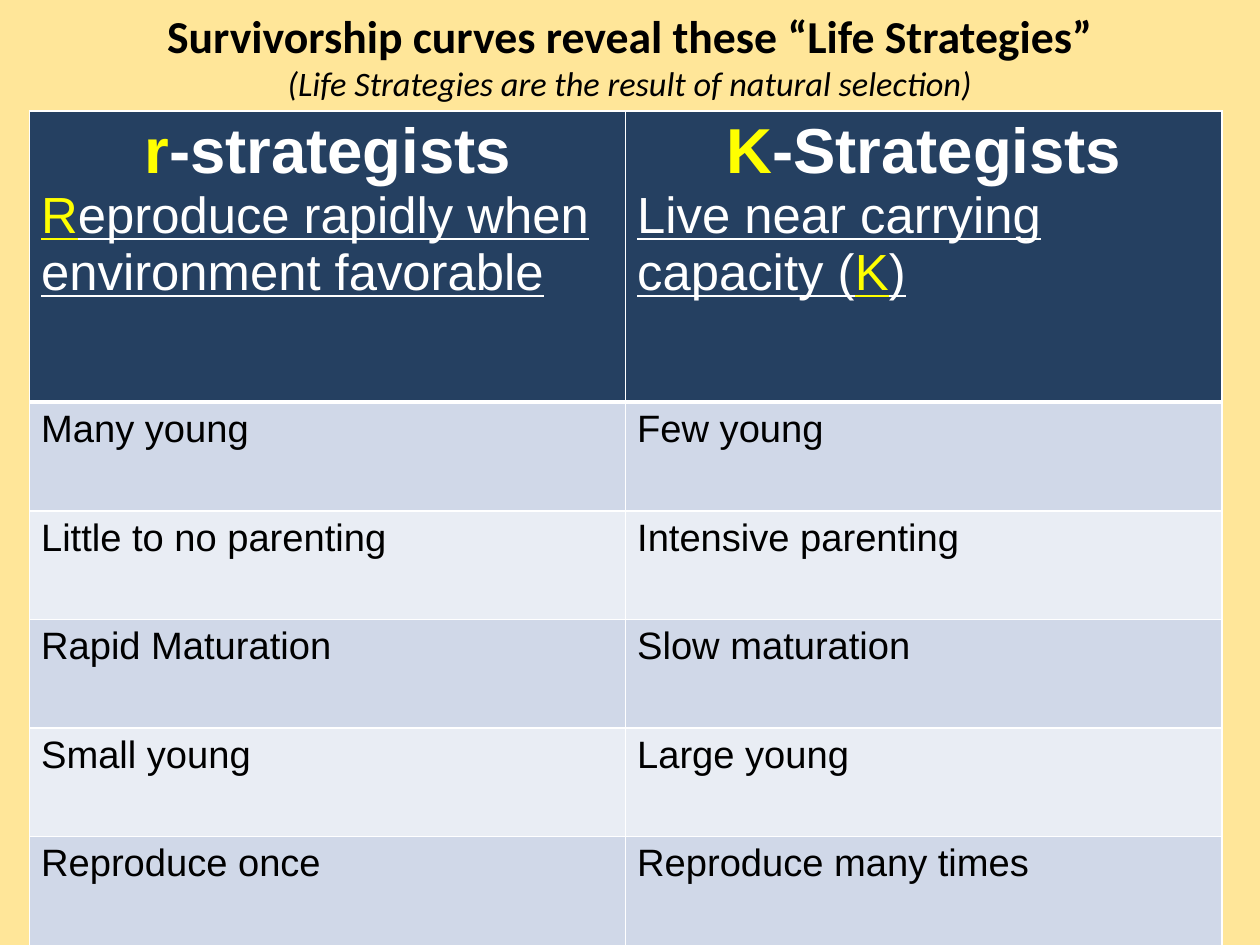
from dataclasses import dataclass

from lxml import etree
from pptx import Presentation
from pptx import util as u
from pptx.dml.color import RGBColor
from pptx.enum import text
from pptx.oxml import ns


@dataclass(frozen=True)
class Theme:
    background: str = "FFE699"
    header: str = "254061"
    bands: tuple[str, str] = ("D0D8E8", "E9EDF4")
    ink: str = "000000"
    light: str = "FFFFFF"
    accent: str = "FFFF00"
    title_font: str = "Calibri"
    table_font: str = "Arial"
    title_size: float = 28.8
    subtitle_size: float = 21.6
    strategy_size: float = 40
    summary_size: float = 32
    trait_size: float = 24


@dataclass(frozen=True)
class Piece:
    words: str
    color: str


@dataclass(frozen=True)
class Strategy:
    name: list[Piece]
    summary: list[Piece]
    traits: list[str]


THEME = Theme()
STRATEGIES = [
    Strategy(
        [Piece("r", THEME.accent), Piece("-strategists", THEME.light)],
        [Piece("R", THEME.accent),
         Piece("eproduce rapidly when environment favorable", THEME.light)],
        ["Many young", "Little to no parenting", "Rapid Maturation",
         "Small young", "Reproduce once"],
    ),
    Strategy(
        [Piece("K", THEME.accent), Piece("-Strategists", THEME.light)],
        [Piece("Live near carrying capacity (", THEME.light),
         Piece("K", THEME.accent), Piece(")", THEME.light)],
        ["Few young", "Intensive parenting", "Slow maturation",
         "Large young", "Reproduce many times"],
    ),
]
CM_PER_INCH = 2.54
WIDTH, HEIGHT = 28 / CM_PER_INCH, 21 / CM_PER_INCH
TABLE_LEFT, TABLE_TOP, TABLE_WIDTH = 0.26, 0.97, 10.43
COLUMN_WIDTH = TABLE_WIDTH / len(STRATEGIES)
HEADER_HEIGHT, TRAIT_HEIGHT = 2.55, 0.95


def write(paragraph, pieces: list[Piece], size: float, bold: bool = False,
          underline: bool = False, centered: bool = False) -> None:
    paragraph.alignment = text.PP_ALIGN.CENTER if centered else text.PP_ALIGN.LEFT
    paragraph.font.name = THEME.table_font
    paragraph.font.size = u.Pt(size)
    paragraph.font.bold = bold
    paragraph.font.underline = underline
    for piece in pieces:
        run = paragraph.add_run()
        run.text = piece.words
        run.font.color.rgb = RGBColor.from_string(piece.color)


def style_cell(cell, fill: str, top: float, bottom: float) -> None:
    properties = cell._tc.get_or_add_tcPr()
    for side, points in {"lnL": 1, "lnR": 1, "lnT": top, "lnB": bottom}.items():
        line = etree.SubElement(properties, ns.qn(f"a:{side}"), w=str(u.Pt(points)))
        solid = etree.SubElement(line, ns.qn("a:solidFill"))
        etree.SubElement(solid, ns.qn("a:srgbClr"), val=THEME.light)
    cell.fill.solid()
    cell.fill.fore_color.rgb = RGBColor.from_string(fill)


def add_title(slide) -> None:
    frame = slide.shapes.add_textbox(
        0, 0, u.Inches(WIDTH), u.Inches(TABLE_TOP)).text_frame
    frame.word_wrap = True
    frame.vertical_anchor = text.MSO_ANCHOR.MIDDLE
    heading = frame.paragraphs[0]
    heading.alignment = text.PP_ALIGN.CENTER
    heading.font.name = THEME.title_font
    heading.font.color.rgb = RGBColor.from_string(THEME.ink)
    title = heading.add_run()
    title.text = "Survivorship curves reveal these “Life Strategies”"
    title.font.size = u.Pt(THEME.title_size)
    title.font.bold = True
    heading.add_line_break()
    subtitle = heading.add_run()
    subtitle.text = "(Life Strategies are the result of natural selection)"
    subtitle.font.size = u.Pt(THEME.subtitle_size)
    subtitle.font.italic = True


def add_comparison(slide) -> None:
    trait_count = len(STRATEGIES[0].traits)
    comparison = slide.shapes.add_table(
        trait_count + 1, len(STRATEGIES), u.Inches(TABLE_LEFT), u.Inches(TABLE_TOP),
        u.Inches(TABLE_WIDTH),
        u.Inches(HEADER_HEIGHT + TRAIT_HEIGHT * trait_count)).table
    for index, row in enumerate(comparison.rows):
        row.height = u.Inches(TRAIT_HEIGHT if index else HEADER_HEIGHT)
    for column, strategy in enumerate(STRATEGIES):
        comparison.columns[column].width = u.Inches(COLUMN_WIDTH)
        header = comparison.cell(0, column)
        style_cell(header, THEME.header, 1, 3)
        write(header.text_frame.paragraphs[0], strategy.name,
              THEME.strategy_size, bold=True, centered=True)
        write(header.text_frame.add_paragraph(), strategy.summary,
              THEME.summary_size, underline=True)
        for index, trait in enumerate(strategy.traits):
            cell = comparison.cell(index + 1, column)
            style_cell(cell, THEME.bands[index % 2], 1 if index else 3, 1)
            write(cell.text_frame.paragraphs[0], [Piece(trait, THEME.ink)],
                  THEME.trait_size)


def main() -> None:
    deck = Presentation()
    deck.slide_width, deck.slide_height = u.Inches(WIDTH), u.Inches(HEIGHT)
    slide = deck.slides.add_slide(deck.slide_layouts[6])
    slide.background.fill.solid()
    slide.background.fill.fore_color.rgb = RGBColor.from_string(THEME.background)
    add_title(slide)
    add_comparison(slide)
    deck.save("out.pptx")


if __name__ == "__main__":
    main()
